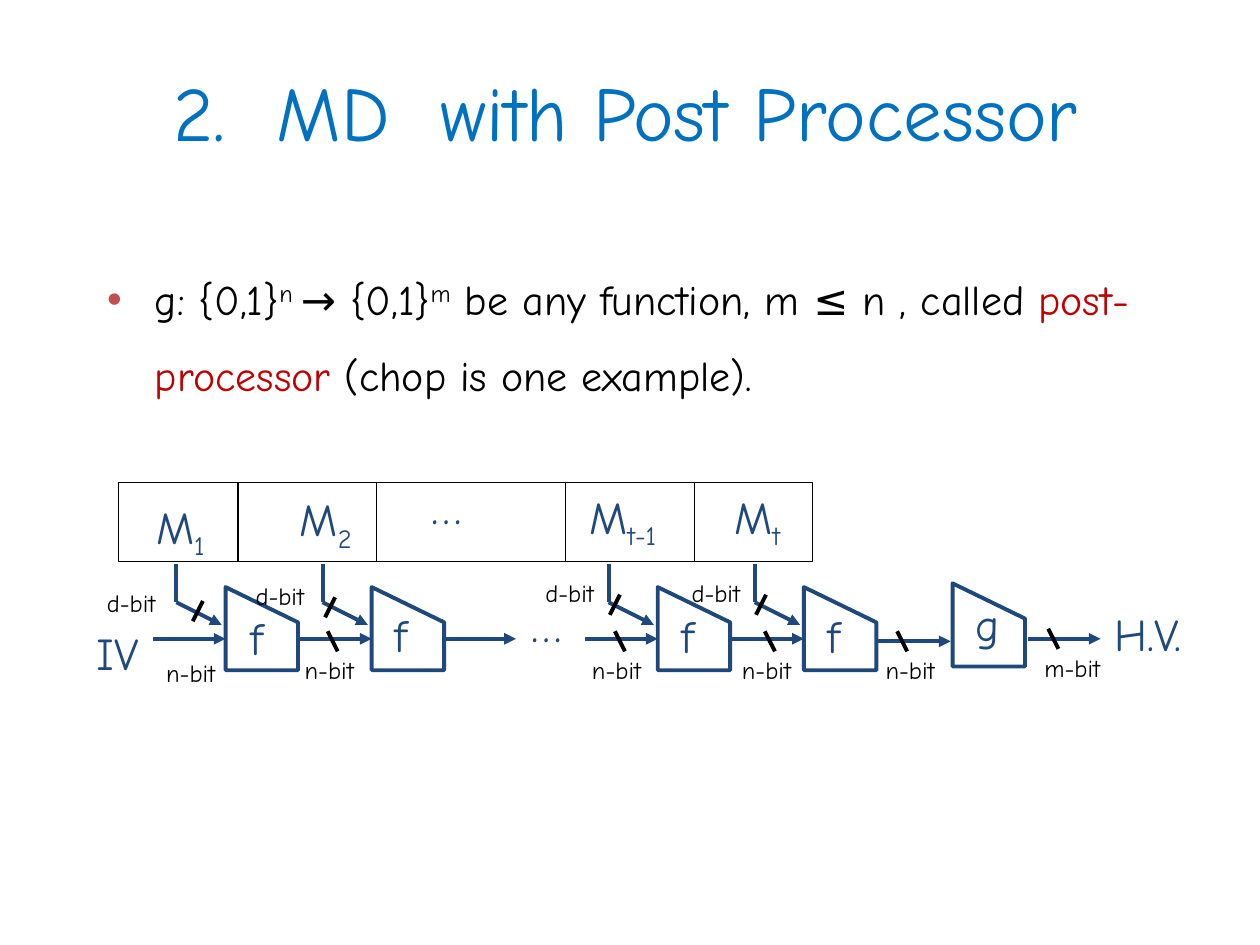
"""Build a slide showing the Merkle-Damgard chain with a post-processor."""
from lxml import etree
from pptx import Presentation
from pptx.dml.color import RGBColor
from pptx.enum.shapes import MSO_CONNECTOR, MSO_SHAPE
from pptx.enum.text import MSO_ANCHOR, MSO_AUTO_SIZE, PP_ALIGN
from pptx.oxml.ns import qn
from pptx.util import Inches, Pt

STRAIGHT = MSO_CONNECTOR.STRAIGHT
RECTANGLE = MSO_SHAPE.RECTANGLE
MIDDLE = MSO_ANCHOR.MIDDLE
CENTER = PP_ALIGN.CENTER
NO_FIT = MSO_AUTO_SIZE.NONE
COLUMNS, ROWS = 100, 75
FONT = "Comic Neue"
NAVY, BLUE, RED, BLACK, BULLET = "1F497D", "0070C0", "C00000", "000000", "C0504D"
THICK, THIN = 2.25, 0.75
SUPER, SUB = 30, -25


def colour(code):
    """Turn a hex string into a colour."""
    return RGBColor.from_string(code)


class Diagram:
    """Hold the page and draw styled elements on its 100 by 75 grid."""

    def __init__(self, deck):
        """Add a title-and-content page to the deck."""
        self.page = deck.slides.add_slide(deck.slide_layouts[1])
        self.column = deck.slide_width / COLUMNS
        self.row = deck.slide_height / ROWS

    def point(self, x, y):
        """Convert a grid position to slide units."""
        return round(x * self.column), round(y * self.row)

    def place(self, box, x, y, width, height):
        """Move and size a placeholder."""
        box.left, box.top = self.point(x, y)
        box.width, box.height = self.point(width, height)
        box.text_frame.auto_size = NO_FIT

    def add_spans(self, para, size, *spans):
        """Add spans of text, colour and baseline shift to a paragraph."""
        for text, code, shift in spans:
            span = para.add_run()
            span.text = text
            span.font.name = FONT
            span.font.size = Pt(size)
            span.font.color.rgb = colour(code)
            if shift:
                span.font._element.set("baseline", str(shift * 1000))

    def title(self, text):
        """Fill the title placeholder."""
        box = self.page.shapes.title
        self.place(box, 2, 2.5, 95.3, 12.5)
        box.text_frame.vertical_anchor = MIDDLE
        para = box.text_frame.paragraphs[0]
        para.alignment = CENTER
        self.add_spans(para, 44, (text, BLUE, 0))

    def body(self, *spans):
        """Fill the body placeholder with one bulleted paragraph."""
        box = self.page.placeholders[1]
        self.place(box, 7.5, 19.2, 90, 45)
        para = box.text_frame.paragraphs[0]
        para.line_spacing = 1.5
        properties = para._p.get_or_add_pPr()
        properties.set("marL", str(Inches(0.38)))
        properties.set("indent", str(-Inches(0.38)))
        tint = etree.SubElement(properties, qn("a:buClr"))
        etree.SubElement(tint, qn("a:srgbClr")).set("val", BULLET)
        etree.SubElement(properties, qn("a:buChar")).set("char", "•")
        self.add_spans(para, 24, *spans)

    def text(self, x, y, width, height, size, wrap, *spans):
        """Add a text box."""
        box = self.page.shapes.add_textbox(*self.point(x, y), *self.point(width, height))
        box.text_frame.word_wrap = wrap
        self.add_spans(box.text_frame.paragraphs[0], size, *spans)

    def symbol(self, x, y, width, text, sub=""):
        """Add a large symbol with an optional subscript."""
        spans = [(text, NAVY, 0)] + ([(sub, NAVY, SUB)] if sub else [])
        self.text(x, y, width, 5.3, 26, False, *spans)

    def label(self, x, y, text):
        """Add a small bit-width label."""
        self.text(x, y, 8.7, 3.3, 14, True, (text, BLACK, 0))

    def line(self, x1, y1, x2, y2, code=NAVY, width=THICK, arrow=False):
        """Draw a straight line, with an arrowhead at its end if asked."""
        line = self.page.shapes.add_connector(STRAIGHT, *self.point(x1, y1), *self.point(x2, y2))
        line.line.color.rgb = colour(code)
        line.line.width = Pt(width)
        properties = line._element.spPr
        if arrow:
            etree.SubElement(properties.find(qn("a:ln")), qn("a:tailEnd")).set("type", "triangle")
        etree.SubElement(properties, qn("a:effectLst"))

    def outline(self, shape, code, width):
        """Leave a shape hollow with a plain line."""
        shape.shadow.inherit = False
        shape.fill.background()
        shape.line.color.rgb = colour(code)
        shape.line.width = Pt(width)

    def block(self, x, y):
        """Draw a function block with a sloping top."""
        right, bottom = x + 5.75, y + 6.6
        builder = self.page.shapes.build_freeform(*self.point(x, y), scale=1.0)
        corners = [(right, y + 2.8), (right, bottom), (x, bottom)]
        builder.add_line_segments([self.point(*corner) for corner in corners], close=True)
        self.outline(builder.convert_to_shape(), NAVY, THICK)

    def stage(self, x):
        """Draw a compression block with its chain and message inputs."""
        self.block(x, 46.6)
        self.line(x - 5.75, 50.7, x, 50.7, arrow=True)
        self.line(x - 3.9, 44.8, x - 3.9, 47.8)
        self.line(x - 3.9, 47.8, x - 0.3, 49.6, arrow=True)

    def strip(self, x, y, width, height, dividers):
        """Draw the message strip and its dividers."""
        box = self.page.shapes.add_shape(RECTANGLE, *self.point(x, y), *self.point(width, height))
        self.outline(box, BLACK, THIN)
        for divider in dividers:
            self.line(divider, y, divider, y + height, BLACK, THIN)


def main():
    """Build and save the deck."""
    deck = Presentation()
    deck.slide_width, deck.slide_height = Inches(10), Inches(7.5)
    page = Diagram(deck)
    page.title("2.  MD  with Post Processor")
    page.body(
        ("g: {0,1}", BLACK, 0), ("n ", BLACK, SUPER),
        ("→ {0,1}", BLACK, 0), ("m", BLACK, SUPER),
        (" be any function, m ≤ n , called ", BLACK, 0),
        ("post-processor", RED, 0), (" (chop is one example).", BLACK, 0),
    )
    page.strip(9.4, 38.3, 55.1, 6.3, [18.9, 29.9, 44.9, 55.1])

    for x in (17.9, 29.5, 52.2, 63.8):
        page.stage(x)
    page.block(75.6, 46.3)
    for x, y in ((35.2, 50.7), (69.7, 50.9), (81.6, 50.7)):
        page.line(x, y, x + 5.75, y, arrow=True)

    for x, y in ((26, 50.1), (48.8, 50.1), (60.7, 50.1), (71.2, 50.1), (83.2, 49.9)):
        page.line(x, y, x + 0.8, y + 1.6, BLACK)
    for x, y in ((16.1, 47.7), (26.6, 47.4), (49.2, 47.2), (60.8, 47.2)):
        page.line(x, y, x - 0.8, y + 1.6, BLACK)

    for x, y, width, text, sub in (
        (11.4, 39.1, 6.3, "M", "1"), (22.8, 38.5, 6.6, "M", "2"),
        (45.8, 38.3, 8.4, "M", "t-1"), (57.3, 38.3, 6.3, "M", "t"),
    ):
        page.symbol(x, y, width, text, sub)
    for x, y, width, text in (
        (33.3, 37.5, 4.4, "…"), (41.2, 46.9, 4.4, "…"),
        (6.7, 49.1, 6.3, "IV"), (87.5, 47.6, 8.9, "H.V."),
        (18.9, 47.9, 3.9, "f"), (30.3, 47.7, 3.9, "f"),
        (53.1, 47.8, 3.9, "f"), (64.7, 47.8, 3.9, "f"), (76.4, 46.8, 3.9, "g"),
    ):
        page.symbol(x, y, width, text)

    for x, y in ((7.5, 46.2), (19.3, 45.6), (42.3, 45.4), (53.9, 45.4)):
        page.label(x, y, "d-bit")
    for x, y in ((12.2, 51.7), (23.2, 51.5), (46, 51.5), (57.9, 51.5), (69.3, 51.5)):
        page.label(x, y, "n-bit")
    page.label(81.9, 51.3, "m-bit")
    deck.save("out.pptx")


if __name__ == "__main__":
    main()
